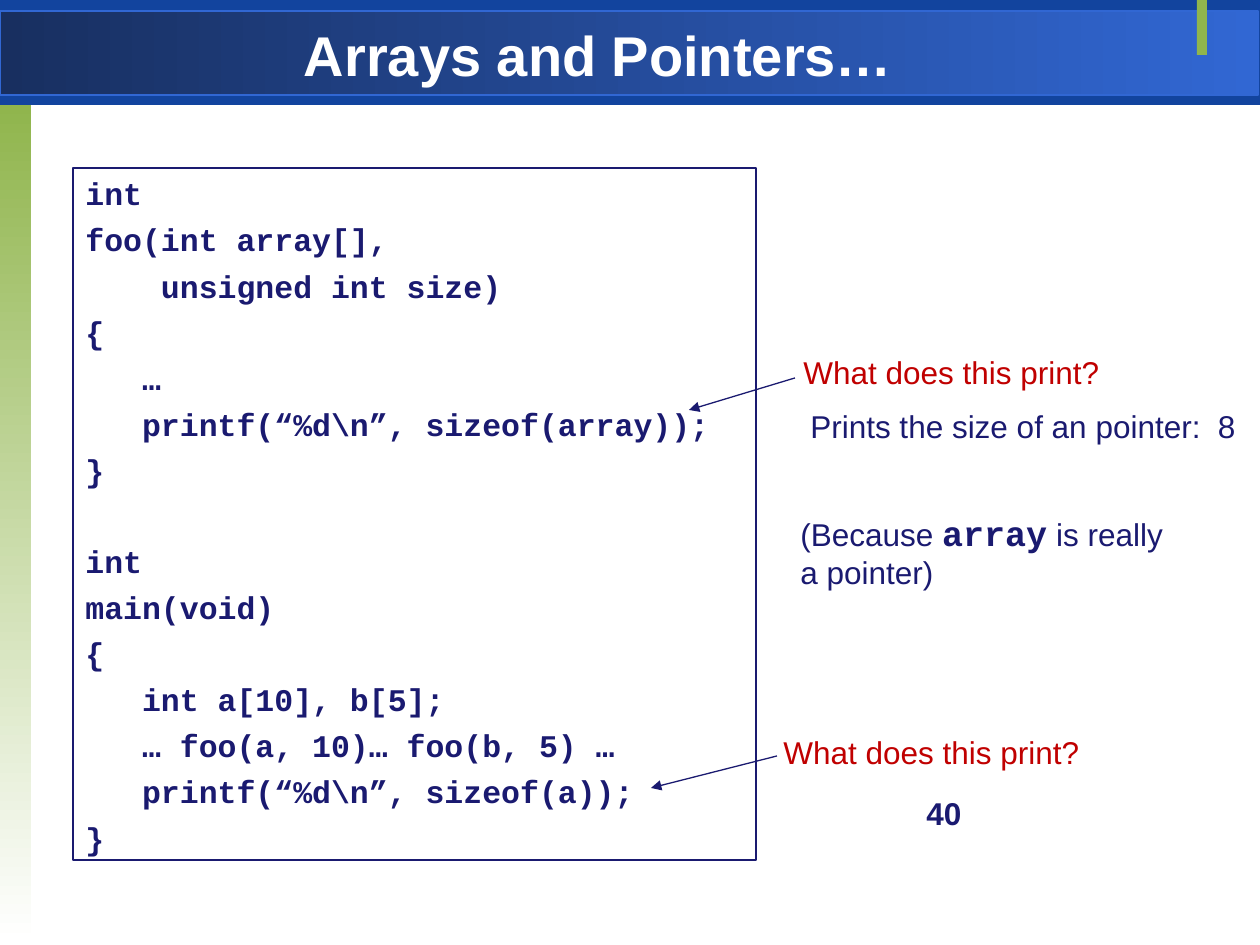
import pptx
import pptx.util
import pptx.dml.color
import pptx.enum.shapes
import pptx.enum.text
import pptx.oxml.ns
import lxml.etree

RGBColor = pptx.dml.color.RGBColor
NAVY = RGBColor(0x1A, 0x1A, 0x70)
RED = RGBColor(0xC0, 0x00, 0x00)
WHITE = RGBColor(0xFF, 0xFF, 0xFF)
GREEN = RGBColor(0x90, 0xB5, 0x4D)
BAND = RGBColor(0x12, 0x44, 0x9E)
BAND_DARK = RGBColor(0x18, 0x2F, 0x60)
BAND_LIGHT = RGBColor(0x31, 0x67, 0xD3)

SCALE = 914400 // 126  # EMU per pixel
CODE_CHARACTER = 10.8  # width in points of one 18 pt Courier New character
CODE_GAP = 4.8  # space before each code line, in points
CODE_PITCH = 25.2

# Indent in characters, then the text; None stands for an empty line
CODE = [
    (0, "int"), (0, "foo(int array[],"), (4, "unsigned int size)"), (0, "{"),
    (3, "…"), (3, "printf(“%d\\n”, sizeof(array));"), (0, "}"),
    None,
    (0, "int"), (0, "main(void)"), (0, "{"), (3, "int a[10], b[5];"),
    (3, "… foo(a, 10)… foo(b, 5) …"), (3, "printf(“%d\\n”, sizeof(a));"), (0, "}"),
]


def px(length):
    return pptx.util.Emu(length * SCALE)


def add_box(page, left, top, width, height, colors=(), angle=0, line=None):
    """Rectangle with no fill, one colour or a two-colour gradient."""
    box = page.shapes.add_shape(pptx.enum.shapes.MSO_SHAPE.RECTANGLE,
                                px(left), px(top), px(width), px(height))
    box.shadow.inherit = False
    if len(colors) == 2:
        box.fill.gradient()
        box.fill.gradient_angle = angle
        for stop, color in zip(box.fill.gradient_stops, colors):
            stop.color.rgb = color
    elif colors:
        box.fill.solid()
        box.fill.fore_color.rgb = colors[0]
    else:
        box.fill.background()
    if line is None:
        box.line.fill.background()
    else:
        box.line.color.rgb = line
        box.line.width = pptx.util.Pt(0.75)
    return box


def set_font(font, color, size=18, bold=False, name="Arial"):
    font.name, font.size, font.bold = name, pptx.util.Pt(size), bold
    font.color.rgb = color


def add_text(page, left, top, width, height, text, color, size=18, bold=False):
    box = page.shapes.add_textbox(px(left), px(top), px(width), px(height))
    para = box.text_frame.paragraphs[0]
    para.text = text
    set_font(para.font, color, size, bold)
    return box


def add_arrow(page, start, end):
    arrow = page.shapes.add_connector(pptx.enum.shapes.MSO_CONNECTOR.STRAIGHT,
                                      *map(px, start + end))
    arrow.line.color.rgb = NAVY
    arrow.line.width = pptx.util.Pt(0.75)
    qn = pptx.oxml.ns.qn
    lxml.etree.SubElement(arrow.line._get_or_add_ln(), qn("a:tailEnd"), type="triangle")
    lxml.etree.SubElement(arrow._element.spPr, qn("a:effectLst"))


def add_frame(page, width, height):
    """Header bands and side strip around the page."""
    band = 105
    add_box(page, 0, 0, width, band, [BAND])
    add_box(page, 0, 11, width - 2, 84, [BAND_DARK, BAND_LIGHT], line=BAND_LIGHT)
    add_box(page, 0, band, 31, height - band - 3, [GREEN, WHITE], angle=270)
    add_box(page, width - 63, 0, 10, 55, [GREEN])


def add_title(page, left, top, width, height):
    box = add_text(page, left, top, width, height, "Arrays and Pointers…", WHITE, 32, True)
    box.text_frame.word_wrap = True
    box.text_frame.vertical_anchor = pptx.enum.text.MSO_ANCHOR.MIDDLE
    box.text_frame.paragraphs[0].alignment = pptx.enum.text.PP_ALIGN.CENTER


def add_code(page, left, top, width, height):
    frame = add_box(page, left, top, width, height, line=NAVY).text_frame
    frame.vertical_anchor = pptx.enum.text.MSO_ANCHOR.TOP
    frame.word_wrap = True
    para, gap = frame.paragraphs[0], CODE_GAP
    for row in CODE:
        if row is None:
            gap += CODE_PITCH
            continue
        indent, text = row
        if para.text:
            para = frame.add_paragraph()
        para.text = text
        para.alignment = pptx.enum.text.PP_ALIGN.LEFT
        para.space_before = pptx.util.Pt(gap)
        para._p.get_or_add_pPr().set("marL", str(pptx.util.Pt(indent * CODE_CHARACTER)))
        set_font(para.font, NAVY, bold=True, name="Courier New")
        gap = CODE_GAP


def add_question(page, left, top, start, end):
    """Question with an arrow; its ends are offsets from the question."""
    add_text(page, left, top, 321, 50, "What does this print?", RED)
    add_arrow(page, *[(left + x, top + y) for x, y in (start, end)])


def add_reason(page, left, top, width, height):
    box = add_text(page, left, top, width, height, "", NAVY)
    first = box.text_frame.paragraphs[0]
    for text, size, bold, name in (("(Because ", 18, False, "Arial"),
                                   ("array", 20, True, "Courier New"),
                                   (" is really", 18, False, "Arial")):
        span = first.add_run()
        span.text = text
        set_font(span.font, NAVY, size, bold, name)
    second = box.text_frame.add_paragraph()
    second.text = "a pointer)"
    set_font(second.font, NAVY)


def build_page(page, width, height):
    add_frame(page, width, height)
    add_code(page, 73, 168, 683, 692)
    # Questions and answers
    add_question(page, 791, 347, (4, 31), (-102, 63))
    add_text(page, 798, 401, 455, 50, "Prints the size of an pointer:  8", NAVY)
    add_reason(page, 788, 505, 392, 93)
    add_question(page, 771, 727, (6, 29), (-120, 61))
    add_text(page, 914, 788, 60, 50, "40", NAVY, bold=True)
    add_title(page, 126, 18, 945, 73)


deck = pptx.Presentation()
deck.slide_width, deck.slide_height = px(1260), px(945)
build_page(deck.slides.add_slide(deck.slide_layouts[6]), 1260, 945)
deck.save("out.pptx")
